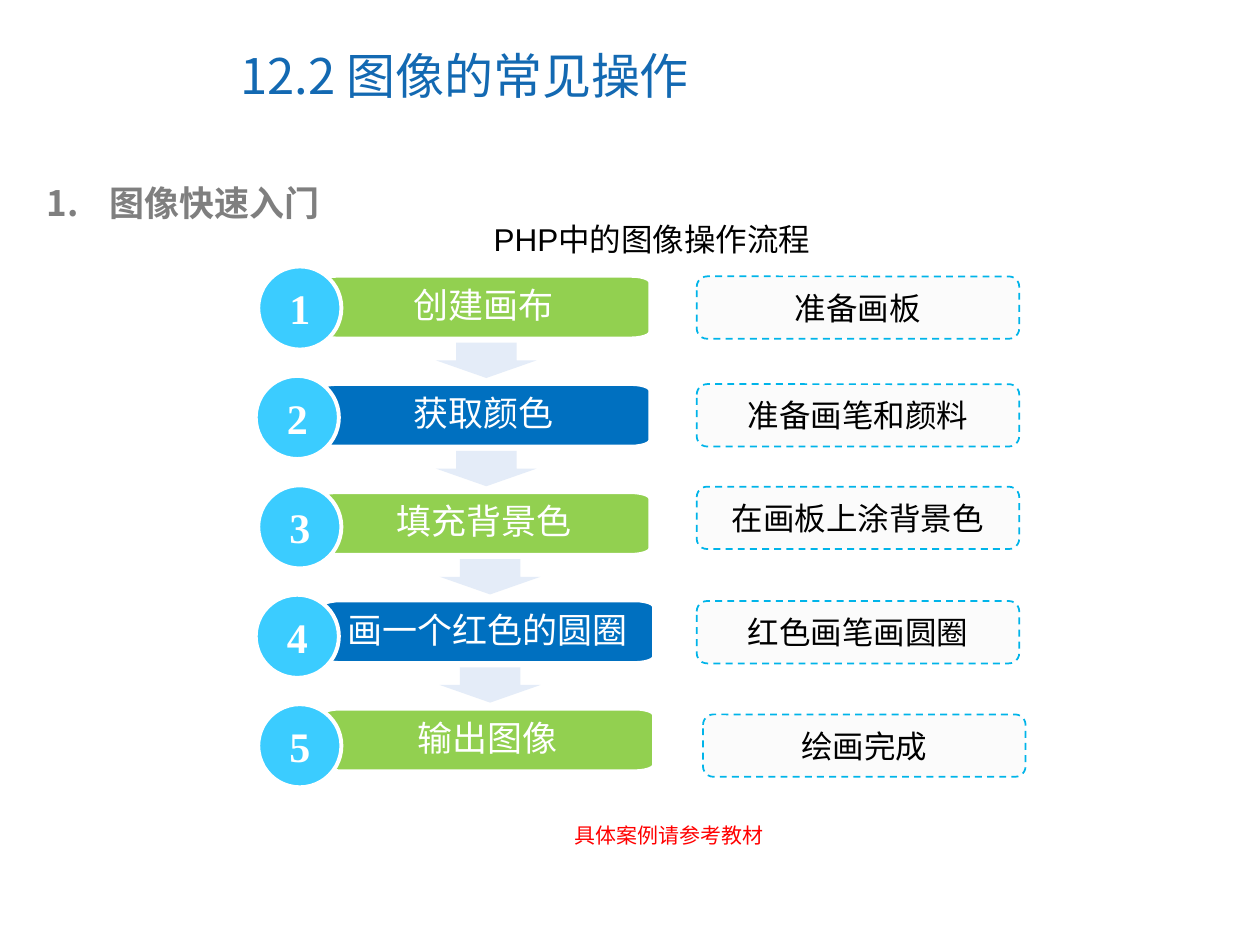
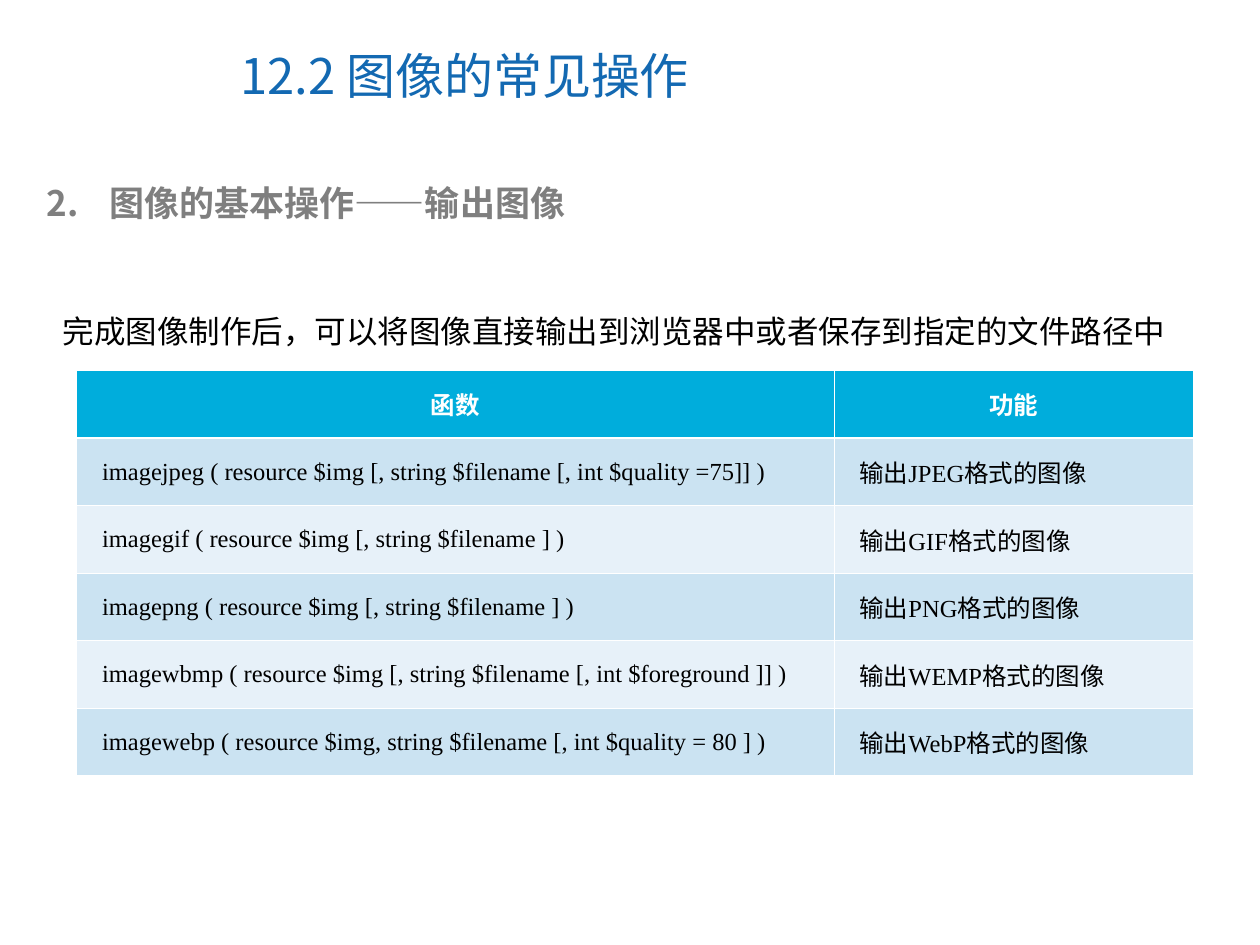
"""Build two slides on common image operations: the drawing workflow and the output functions."""
import math

from lxml import etree
from pptx import Presentation
from pptx.dml.color import RGBColor
from pptx.enum.dml import MSO_LINE
from pptx.enum.shapes import MSO_SHAPE
from pptx.enum.text import MSO_ANCHOR, MSO_AUTO_SIZE, PP_ALIGN
from pptx.oxml.ns import qn
from pptx.util import Inches, Pt

OVAL, ROUND, ARROW = MSO_SHAPE.OVAL, MSO_SHAPE.ROUNDED_RECTANGLE, MSO_SHAPE.DOWN_ARROW
TEXT, BAR = "text", "bar"
CENTER, JUSTIFY, MIDDLE = PP_ALIGN.CENTER, PP_ALIGN.JUSTIFY, MSO_ANCHOR.MIDDLE
FIT, DASH = MSO_AUTO_SIZE.SHAPE_TO_FIT_TEXT, MSO_LINE.DASH
CJK, SANS, SERIF = "Noto Sans CJK SC", "Arial", "Times New Roman"
COLORS = {
    "title": "1369B2", "heading": "7F7F7F", "text": "000000", "white": "FFFFFF",
    "note": "FF0000", "green": "92D050", "blue": "0070C0", "circle": "3BCCFF",
    "arrow": "E4ECF8", "panel": "FBFBFB", "dash": "00B4E9",
    "header": "00ADDC", "band": "CBE3F2", "light": "E7F1F9",
}
C = {name: RGBColor.from_string(value) for name, value in COLORS.items()}

prs = Presentation()
prs.slide_width, prs.slide_height = Inches(10), Inches(7.5)
COL, ROW = prs.slide_width / 100, prs.slide_height / 100


def box(s, kind, x, y, w, h, fill=None, line=None, width=1):
    """Add a shape placed in percent of the slide's width and height."""
    x, y, w, h = round(x * COL), round(y * ROW), round(w * COL), round(h * ROW)
    if kind == TEXT:
        return s.shapes.add_textbox(x, y, w, h)
    if kind == BAR:
        rx, ry = Inches(0.15), Inches(0.05)
        points = []
        for corner, (cx, cy) in enumerate([(x + w - rx, y + h - ry), (x + rx, y + h - ry),
                                           (x + rx, y + ry), (x + w - rx, y + ry)]):
            for k in range(7):
                a = math.radians(corner * 90 + k * 15)
                points.append((round(cx + rx * math.cos(a)), round(cy + ry * math.sin(a))))
        builder = s.shapes.build_freeform(*points[0])
        builder.add_line_segments(points[1:], close=True)
        sp = builder.convert_to_shape()
    else:
        sp = s.shapes.add_shape(kind, x, y, w, h)
    sp.shadow.inherit = False
    sp.fill.solid()
    sp.fill.fore_color.rgb = C[fill]
    if line:
        sp.line.color.rgb = C[line]
        sp.line.width = Pt(width)
    else:
        sp.line.fill.background()
    return sp


def write(tf, text, size, color="text", font=SANS, bold=False, align=None):
    """Put one run into the first paragraph and return the paragraph."""
    p = tf.paragraphs[0]
    p.alignment = align
    r = p.add_run()
    r.text = text
    r.font.size, r.font.bold, r.font.name = Pt(size), bold, font
    r.font.color.rgb = C[color]
    etree.SubElement(r.font._element, qn("a:ea"), typeface=CJK)
    return p


slides = []
for number, heading in enumerate(["图像快速入门", "图像的基本操作——输出图像"], 1):
    s = prs.slides.add_slide(prs.slide_layouts[6])
    slides.append(s)
    tf = box(s, TEXT, 18.1, 2.27, 51.6, 11.33).text_frame
    tf.word_wrap, tf.vertical_anchor = True, MIDDLE
    write(tf, "12.2 图像的常见操作", 28, "title", CJK)
    tf = box(s, TEXT, 2.7, 18.53, 92.2, 5.87).text_frame
    tf.word_wrap, tf.auto_size = True, FIT
    p = write(tf, heading, 20, "heading", CJK, True)
    pPr = p._p.get_or_add_pPr()
    pPr.set("marL", str(Inches(0.5)))
    pPr.set("indent", str(-Inches(0.5)))
    clr = etree.SubElement(pPr, qn("a:buClr"))
    etree.SubElement(clr, qn("a:srgbClr"), val=COLORS["heading"])
    etree.SubElement(pPr, qn("a:buAutoNum"), type="arabicPeriod", startAt=str(number))

flow, output = slides

for text, size, color, place in [
    ("PHP中的图像操作流程", 18, "text", (38.2, 22.67, 32, 5.33)),
    ("具体案例请参考教材", 12, "note", (44.6, 86.4, 20, 4)),
]:
    tf = box(flow, TEXT, *place).text_frame
    tf.word_wrap, tf.auto_size = True, FIT
    write(tf, text, size, color)

steps = [
    ("创建画布", 25.2, "准备画板", 55.3, 29.25),
    ("获取颜色", 25.2, "准备画笔和颜料", 55.3, 40.65),
    ("填充背景色", 25.2, "在画板上涂背景色", 55.3, 51.5),
    ("画一个红色的圆圈", 25.5, "红色画笔画圆圈", 55.3, 63.6),
    ("输出图像", 25.5, "绘画完成", 55.8, 75.6),
]
for i, (step, bar_x, meaning, panel_x, panel_y) in enumerate(steps):
    bar_y = 29.2 + 11.45 * i
    if i < len(steps) - 1:
        next_x = steps[i + 1][1]
        sp = box(flow, ARROW, next_x + 9.4, bar_y + 7.07, 8, 3.73, "arrow")
        sp.adjustments[0], sp.adjustments[1] = 0.6, 0.5

    sp = box(flow, BAR, bar_x, bar_y, 26.4, 6.6, ("green", "blue")[i % 2], "white", 2)
    tf = sp.text_frame
    tf.word_wrap, tf.vertical_anchor = True, MIDDLE
    tf.margin_left = tf.margin_right = tf.margin_top = tf.margin_bottom = Inches(0.14)
    p = write(tf, step, 20, "white", align=CENTER)
    p.line_spacing, p.space_after = 0.9, Pt(8.8)

    sp = box(flow, OVAL, 20.5 - 0.2 * (i % 2), 28.2 + 11.58 * i, 6.6, 8.8, "circle", "white", 2.25)
    tf = sp.text_frame
    tf.word_wrap, tf.vertical_anchor = False, MIDDLE
    write(tf, str(i + 1), 24, "white", SERIF, True, CENTER)

    sp = box(flow, ROUND, panel_x, panel_y, 25.6, 6.6, "panel", "dash")
    sp.line.dash_style = DASH
    tf = sp.text_frame
    tf.word_wrap, tf.vertical_anchor = True, MIDDLE
    write(tf, meaning, 18, align=CENTER)

tf = box(output, TEXT, 4, 28.4, 91.9, 9.33).text_frame
tf.word_wrap, tf.auto_size = True, FIT
p = write(tf, "完成图像制作后，可以将图像直接输出到浏览器中或者保存到指定的文件路径中", 18)
p.line_spacing = 2.0

rows = [
    ("函数", "功能"),
    ("imagejpeg ( resource $img [, string $filename [, int $quality =75]] )", "输出JPEG格式的图像"),
    ("imagegif ( resource $img [, string $filename ] )", "输出GIF格式的图像"),
    ("imagepng ( resource $img [, string $filename ] )", "输出PNG格式的图像"),
    ("imagewbmp ( resource $img [, string $filename [, int $foreground ]] )", "输出WEMP格式的图像"),
    ("imagewebp ( resource $img, string $filename [, int $quality = 80 ] )", "输出WebP格式的图像"),
]
table = output.shapes.add_table(len(rows), 2, round(6.1 * COL), round(39.2 * ROW),
                                round(88.6 * COL), round(42.9 * ROW)).table
for column, share in zip(table.columns, (60.1, 28.5)):
    column.width = round(share * COL)
for i, row in enumerate(rows):
    table.rows[i].height = round(7.15 * ROW)
    for j, text in enumerate(row):
        cell = table.cell(i, j)
        cell.vertical_anchor = MIDDLE
        cell.margin_left = cell.margin_right = Inches(0.08)
        cell.margin_top = cell.margin_bottom = Inches(0.05)
        cell.fill.solid()
        cell.fill.fore_color.rgb = C["header" if i == 0 else ("light", "band")[i % 2]]
        if i == 0:
            write(cell.text_frame, text, 14, "white", (SANS, SERIF)[j], True, CENTER)
        else:
            p = write(cell.text_frame, text, 14, "text", SERIF, align=JUSTIFY)
            p._p.get_or_add_pPr().set("marL", str(Inches(0.12)))
        tcPr = cell._tc.get_or_add_tcPr()
        for k, side in enumerate("LRTB"):
            thick = (i, side) in [(0, "B"), (1, "T")]
            ln = etree.Element(qn("a:ln" + side), w=str(Pt(1.47 if thick else 0.45)))
            paint = etree.SubElement(ln, qn("a:solidFill"))
            etree.SubElement(paint, qn("a:srgbClr"), val=COLORS["white"])
            tcPr.insert(k, ln)

prs.save("out.pptx")
